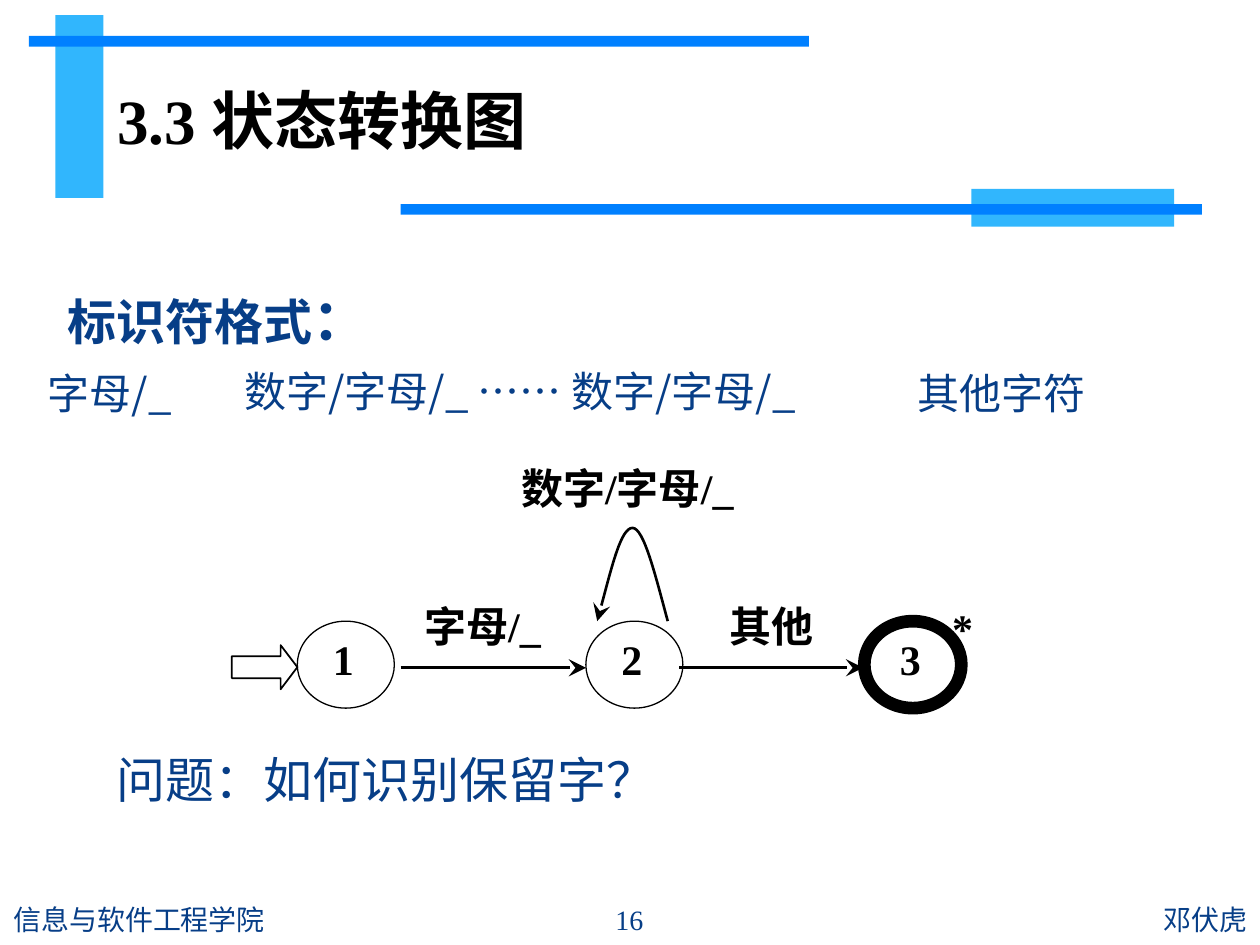
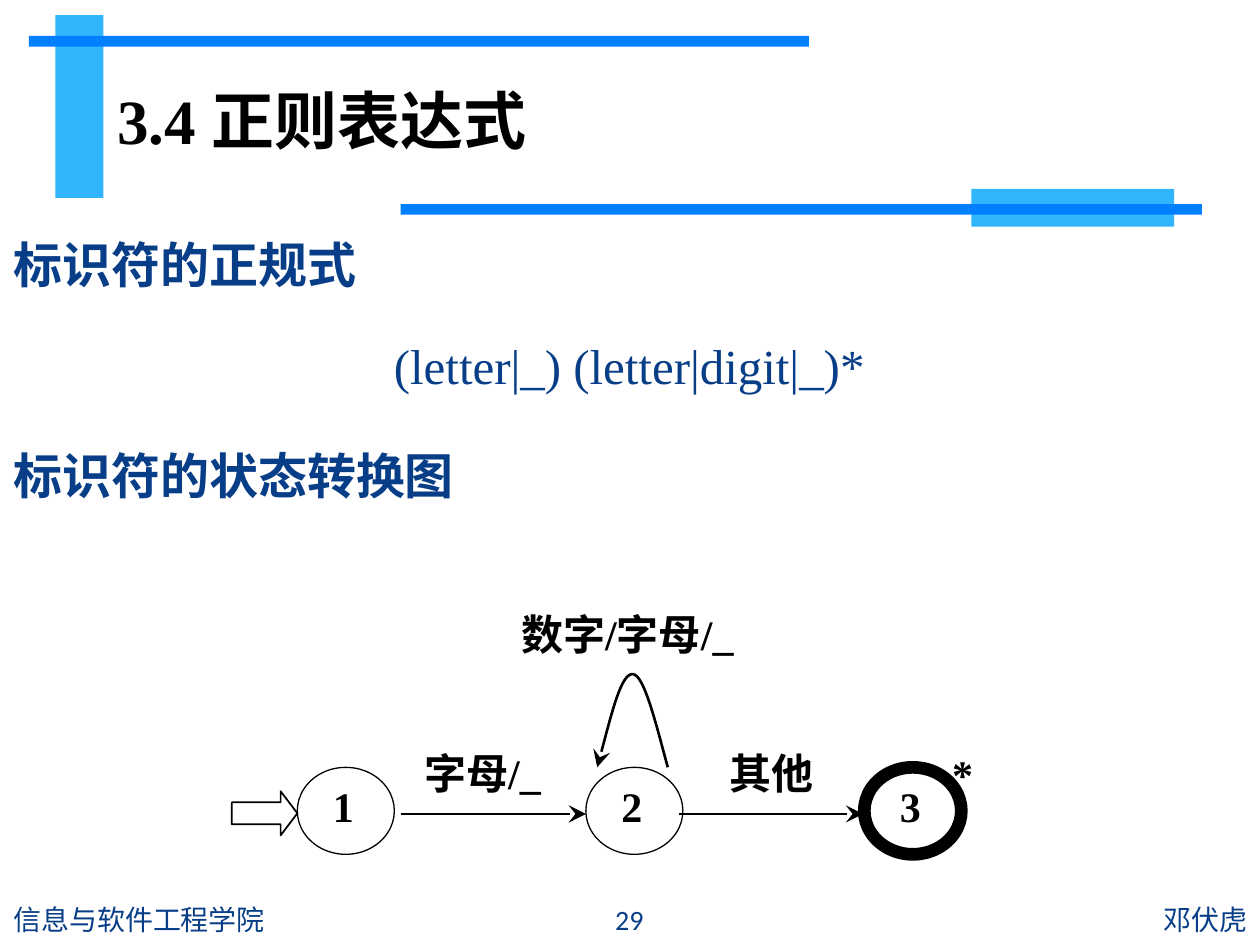
from collections import namedtuple

from pptx import Presentation
from pptx.dml.color import RGBColor
from pptx.enum.shapes import MSO_CONNECTOR, MSO_SHAPE as Shape
from pptx.enum.text import MSO_ANCHOR as Anchor, PP_ALIGN as Align
from pptx.oxml.ns import qn
from pptx.oxml.xmlchemy import OxmlElement
from pptx.util import Inches, Pt

COLORS = {"pale": "31B6FD", "bright": "0080FF", "text": "073E87", "black": "000000"}
SERIF, SANS = "Times New Roman", "Noto Sans CJK SC"
COLUMNS, ROWS = 100, 75
WIDTH, HEIGHT = Inches(10), Inches(7.5)
COL, ROW = WIDTH // COLUMNS, HEIGHT // ROWS

Box = namedtuple("Box", "left top width height")
PAGE = Box(0, 0, COLUMNS, ROWS)
DIAGRAM_SIZE = (61.2, 20.8)


def color(name):
    """Look up a palette colour."""
    return RGBColor.from_string(COLORS[name])


def point(box, x, y):
    """Turn columns and rows inside a box into slide lengths."""
    return round((box.left + x) * COL), round((box.top + y) * ROW)


def place(box, x, y, width, height):
    """Turn a cell range inside a box into left, top, width and height."""
    return *point(box, x, y), round(width * COL), round(height * ROW)


def style(paragraph, size, font=SERIF, tint="text", bold=False, align=Align.LEFT):
    """Format a whole paragraph, with one East Asian font throughout."""
    paragraph.alignment = align
    face = paragraph.font
    face.size, face.name, face.bold = Pt(size), font, bold
    face.color.rgb = color(tint)
    east_asian = OxmlElement("a:ea")
    east_asian.set("typeface", SANS)
    paragraph._p.pPr.find(qn("a:defRPr")).find(qn("a:latin")).addnext(east_asian)


def add_text(slide, area, text, size, anchor=Anchor.TOP, spacing=None, **look):
    """Add a one-paragraph text box and return its paragraph."""
    frame = slide.shapes.add_textbox(*area).text_frame
    frame.word_wrap, frame.vertical_anchor = True, anchor
    paragraph = frame.paragraphs[0]
    paragraph.text = text
    if spacing:
        paragraph.line_spacing = spacing
    style(paragraph, size, **look)
    return paragraph


def add_outline(slide, kind, area, weight):
    """Add an unfilled black preset shape."""
    shape = slide.shapes.add_shape(kind, *area)
    shape.shadow.inherit = False
    shape.fill.background()
    draw_line(shape, weight)
    return shape


def draw_line(shape, weight, arrow=False):
    """Give a shape a black line, with a large stealth arrowhead on request."""
    shape.line.color.rgb = color("black")
    shape.line.width = Pt(weight)
    if arrow:
        head = OxmlElement("a:tailEnd")
        for key, value in (("type", "stealth"), ("w", "lg"), ("len", "lg")):
            head.set(key, value)
        shape._element.spPr.find(qn("a:ln")).append(head)


def add_bands(slide, box):
    """Draw the blue bands that frame the title."""
    for tint, *cells in (("pale", 4.4, 1.2, 3.8, 14.5), ("bright", 2.3, 2.85, 61.9, 0.85),
                         ("pale", 77.1, 15, 16.1, 3), ("bright", 31.8, 16.2, 63.6, 0.85)):
        band = slide.shapes.add_shape(Shape.RECTANGLE, *place(box, *cells))
        band.shadow.inherit = False
        band.fill.solid()
        band.fill.fore_color.rgb = color(tint)
        band.line.fill.background()


def add_title(slide, box, text):
    """Move, fill and format the title placeholder."""
    title = slide.shapes.title
    title.left, title.top, title.width, title.height = place(box, 8.3, 4.4, 77.2, 10.2)
    title.text_frame.text = text
    title.text_frame.vertical_anchor = Anchor.MIDDLE
    style(title.text_frame.paragraphs[0], 36, tint="black", bold=True)


def add_footer(slide, box, number, number_font):
    """Write the school, slide number and lecturer along the foot."""
    for text, x, width, align, font in (
            ("信息与软件工程学院", 0.1, 43.4, Align.LEFT, "Calibri"),
            (number, 43.6, 12.7, Align.CENTER, number_font),
            ("邓伏虎", 56.4, 43.6, Align.RIGHT, "Calibri")):
        add_text(slide, place(box, x, 71, width, 4), text, 16,
                 anchor=Anchor.MIDDLE, font=font, align=align)


def add_edge(slide, box, start, end, y):
    """Connect two states with an arrow."""
    edge = slide.shapes.add_connector(MSO_CONNECTOR.STRAIGHT,
                                      *point(box, start, y), *point(box, end, y))
    draw_line(edge, 1.5, arrow=True)
    edge._element.spPr.append(OxmlElement("a:effectLst"))


def add_loop(slide, box):
    """Draw the curved arrow from state 2 back to itself."""
    start, *bends = [point(box, x, y) for x, y in (
        (34.6, 13.8), (33.6, 10.1), (32.7, 6.4), (31.8, 6.4),
        (30.9, 6.4), (30, 10.1), (29, 13.8))]
    builder = slide.shapes.build_freeform(*start)
    builder.add_line_segments(bends, close=False)
    loop = builder.convert_to_shape()
    segments = list(loop._element.iter(qn("a:lnTo")))
    for first in range(0, len(segments), 3):
        curve = OxmlElement("a:cubicBezTo")
        segments[first].addprevious(curve)
        for segment in segments[first:first + 3]:
            curve.append(segment[0])
            segment.getparent().remove(segment)
    loop.shadow.inherit = False
    loop.fill.background()
    draw_line(loop, 1.5, arrow=True)


def add_state(slide, box, name, x, weight):
    """Draw one numbered state."""
    state = add_outline(slide, Shape.OVAL, place(box, x, 13.8, 7.7, 6.9), weight)
    frame = state.text_frame
    frame.word_wrap, frame.vertical_anchor = True, Anchor.TOP
    frame.margin_left = frame.margin_right = Inches(0.17)
    frame.margin_top = frame.margin_bottom = 0
    frame.text = name
    style(frame.paragraphs[0], 24, tint="black", bold=True)


def add_diagram(slide, box):
    """Draw the state diagram that recognises an identifier."""
    for start, end in ((35.5, 50.1), (13.4, 28.1)):
        add_edge(slide, box, start, end, 17.5)
    add_loop(slide, box)
    for name, x, weight in (("1", 5.2, 0.75), ("2", 28.1, 0.75), ("3", 50.2, 7.25)):
        add_state(slide, box, name, x, weight)
    for text, center, y, width, height in (
            ("字母/_", 19.9, 11, 15, 6.4), ("其他", 42.8, 11, 15, 6.4),
            ("数字/字母/_", 31.4, 0, 26, 6.4), ("*", 58, 12, 6.4, 4.6)):
        add_text(slide, place(box, center - width / 2, y, width, height), text, 24,
                 anchor=Anchor.MIDDLE, tint="black", bold=True, align=Align.CENTER)
    entry = add_outline(slide, Shape.RIGHT_ARROW, place(box, 0, 15.7, 5.2, 3.5), 1)
    entry.adjustments[0], entry.adjustments[1] = 0.5, 0.38


def add_format(slide, box):
    """Show the identifier format under its heading."""
    heading = add_text(slide, place(box, 1.6, 0, 30.6, 6.7), "标识符格式", 28,
                       font=SANS, bold=True)
    colon = heading.add_run()
    colon.text = "："
    colon.font.size = Pt(32)
    for text, x, y, width in (("字母/_", 0, 7.7, 13.4), ("其他字符", 69, 7.7, 16.9),
                              ("数字/字母/_ …… 数字/字母/_", 15.6, 7.5, 61.8)):
        add_text(slide, place(box, x, y, width, 5.4), text, 24, spacing=0.7, font=SANS)


def add_regular_expression(slide, box):
    """Write the regular expression between the two headings."""
    frame = slide.shapes.add_textbox(*place(box, 0, 0, box.width, box.height)).text_frame
    frame.word_wrap = True
    frame.text = "标识符的正规式\n(letter|_) (letter|digit|_)*\n标识符的状态转换图"
    first, expression, last = frame.paragraphs
    for heading in (first, last):
        style(heading, 28, font="Arial", bold=True)
    style(expression, 28, align=Align.CENTER)
    expression.space_before = expression.space_after = Pt(24)
    last.space_before = Pt(5.6)


def add_page(deck, title, number, number_font):
    """Start a slide with its bands, title and footer."""
    slide = deck.slides.add_slide(deck.slide_layouts[5])
    add_bands(slide, PAGE)
    add_title(slide, PAGE, title)
    add_footer(slide, PAGE, number, number_font)
    return slide


def main():
    """Build both slides and save the deck."""
    deck = Presentation()
    deck.slide_width, deck.slide_height = WIDTH, HEIGHT

    transitions = add_page(deck, "3.3 状态转换图", "16", SERIF)
    add_format(transitions, Box(2.8, 22.1, 86, 13.1))
    add_diagram(transitions, Box(18.4, 35.5, *DIAGRAM_SIZE))
    add_text(transitions, place(PAGE, 8.3, 60.3, 85.8, 5.4), "问题：如何识别保留字？", 28,
             spacing=0.7, font=SANS)

    expressions = add_page(deck, "3.4 正则表达式", "29", "Calibri")
    add_regular_expression(expressions, Box(0.1, 18.1, 99.7, 52.7))
    add_diagram(expressions, Box(18.4, 47.1, *DIAGRAM_SIZE))

    deck.save("out.pptx")


if __name__ == "__main__":
    main()
